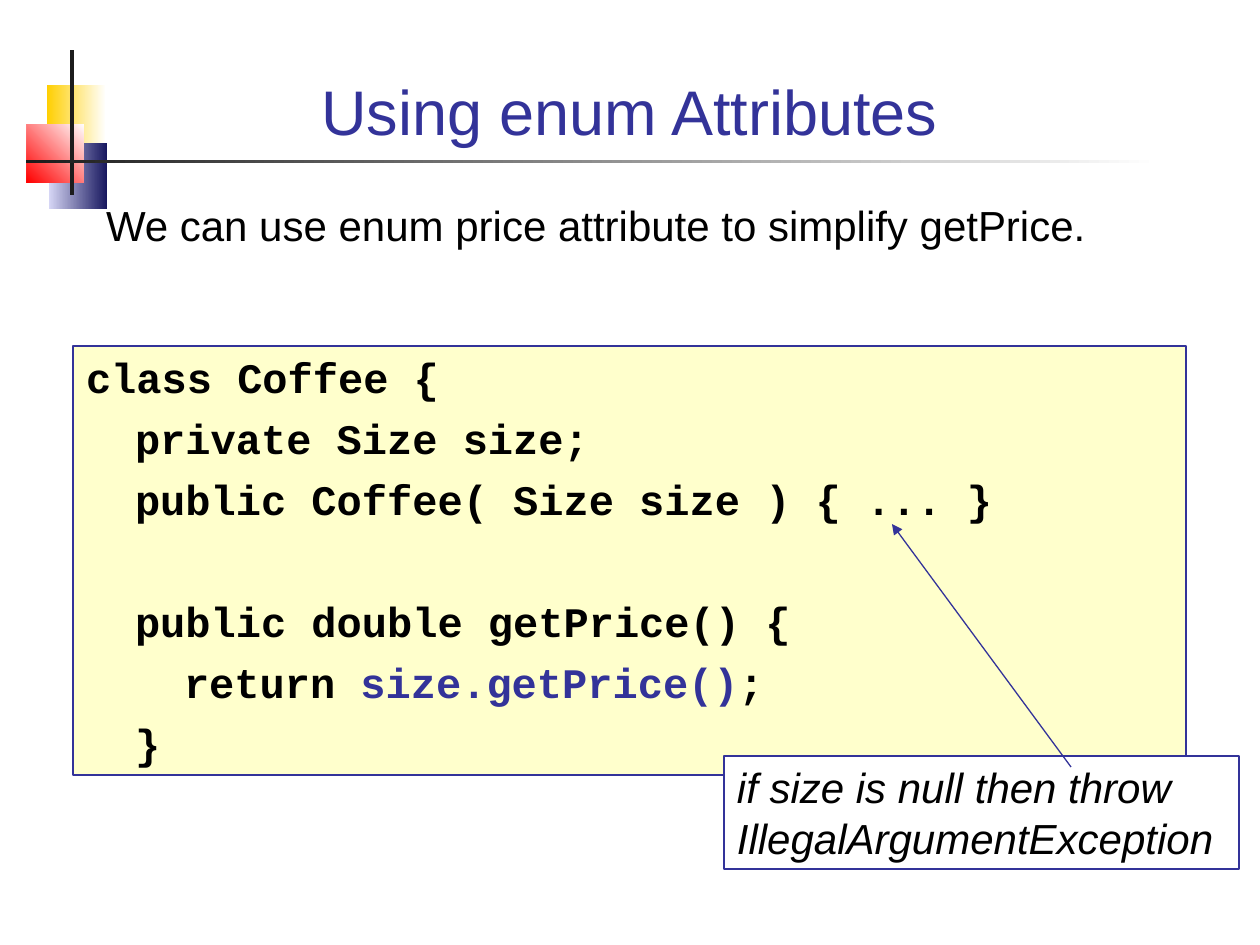
"""Build a slide on simplifying getPrice with enum attributes."""
from lxml import etree
from pptx import Presentation
from pptx.dml.color import RGBColor
from pptx.enum.shapes import MSO_CONNECTOR, MSO_SHAPE
from pptx.enum.text import MSO_ANCHOR, MSO_AUTO_SIZE, PP_ALIGN
from pptx.oxml.ns import qn
from pptx.util import Emu, Pt

RECTANGLE = MSO_SHAPE.RECTANGLE
STRAIGHT = MSO_CONNECTOR.STRAIGHT
TOP, BOTTOM = MSO_ANCHOR.TOP, MSO_ANCHOR.BOTTOM
LEFT, CENTER = PP_ALIGN.LEFT, PP_ALIGN.CENTER
FIXED_SIZE = MSO_AUTO_SIZE.NONE

PX_PER_INCH = 126
TAB_STEP, TAB_COUNT = 49, 8
BLUE, BLACK, WHITE, DARK = "333399", "000000", "FFFFFF", "1C1C1C"

ORNAMENTS = [
    ((47, 85, 59, 65), (WHITE, "FFCF01"), 180),
    ((49, 143, 58, 66), ("17175E", "D6D6F5"), 180),
    ((27, 124, 57, 59), (WHITE, "FF0000"), 225),
    ((70, 50, 4, 145), (DARK, DARK), 180),
    ((26, 160, 1133, 3), (WHITE, DARK), 180),
]

TITLE = {
    "area": (84, 34, 1091, 120),
    "lines": [[("Using enum Attributes", BLUE)]],
    "frame": {"vertical_anchor": BOTTOM},
    "para": {"alignment": CENTER},
    "font": {"name": "Arial", "size": Pt(36)},
}
BODY = {
    "area": (93, 193, 1091, 135),
    "lines": [[("We can use enum price attribute to simplify getPrice.", BLACK)]],
    "font": {"name": "Arial", "size": Pt(24)},
}
CODE = {
    "area": (73, 346, 1113, 429),
    "fill": "FFFFCC",
    "lines": [
        [("class Coffee {", BLACK)],
        [("\tprivate Size size;", BLACK)],
        [("\tpublic Coffee( Size size ) { ... }", BLACK)],
        [],
        [("\tpublic double getPrice() {", BLACK)],
        [("\t\treturn ", BLACK), ("size.getPrice()", BLUE), (";", BLACK)],
        [("\t}", BLACK)],
    ],
    "gap": 6,
    "font": {"name": "Courier New", "size": Pt(24), "bold": True},
}
CALLOUT = {
    "area": (724, 756, 515, 113),
    "fill": WHITE,
    "lines": [[("if size is null then throw IllegalArgumentException", BLACK)]],
    "font": {"name": "Arial", "size": Pt(24), "italic": True},
}
ARROW = (1071, 767, 892, 524)


def px(value):
    return Emu(round(value * 914400 / PX_PER_INCH))


def colour(value):
    return RGBColor.from_string(value)


def set_all(target, values):
    for name, value in values.items():
        setattr(target, name, value)


def add_tabs(para):
    properties = para._p.get_or_add_pPr()
    for name, value in {"marL": 0, "indent": 0, "defTabSz": px(TAB_STEP)}.items():
        properties.set(name, str(value))
    etree.SubElement(properties, qn("a:buNone"))
    tabs = etree.SubElement(properties, qn("a:tabLst"))
    for step in range(TAB_COUNT):
        etree.SubElement(tabs, qn("a:tab"), pos=str(px(step * TAB_STEP)), algn="l")


def write_text(box, content):
    frame = box.text_frame
    margins = {"margin_left": 13, "margin_right": 13, "margin_top": 6, "margin_bottom": 6}
    set_all(frame, {name: px(value) for name, value in margins.items()})
    layout = {"word_wrap": True, "auto_size": FIXED_SIZE, "vertical_anchor": TOP}
    set_all(frame, layout | content.get("frame", {}))
    for index, line in enumerate(content["lines"]):
        para = frame.paragraphs[0] if index == 0 else frame.add_paragraph()
        add_tabs(para)
        gap = content.get("gap", 0) if index else 0
        spacing = {"alignment": LEFT, "space_before": Pt(gap), "line_spacing": 1.0}
        set_all(para, spacing | content.get("para", {}))
        set_all(para.font, content["font"])
        for text, shade in line:
            span = para.add_run()
            span.text = text
            set_all(span.font, content["font"])
            span.font.color.rgb = colour(shade)
        if not line:
            end = etree.SubElement(para._p, qn("a:endParaRPr"))
            end.set("sz", str(int(content["font"]["size"].pt * 100)))
            etree.SubElement(end, qn("a:latin"), typeface=content["font"]["name"])


def add_rectangle(page, area):
    box = page.shapes.add_shape(RECTANGLE, *map(px, area))
    box.shadow.inherit = False
    return box


def add_ornament(page, area, shades, angle):
    box = add_rectangle(page, area)
    box.line.fill.background()
    box.fill.gradient()
    box.fill.gradient_angle = angle
    for position, (stop, shade) in enumerate(zip(box.fill.gradient_stops, shades)):
        stop.color.rgb = colour(shade)
        stop.position = position


def fill_placeholder(box, content):
    set_all(box, dict(zip(("left", "top", "width", "height"), map(px, content["area"]))))
    write_text(box, content)


def outline(item):
    item.line.color.rgb = colour(BLUE)
    item.line.width = Pt(0.75)


def add_panel(page, content):
    box = add_rectangle(page, content["area"])
    box.fill.solid()
    box.fill.fore_color.rgb = colour(content["fill"])
    outline(box)
    write_text(box, content)


def add_arrow(page, ends):
    arrow = page.shapes.add_connector(STRAIGHT, *map(px, ends))
    outline(arrow)
    etree.SubElement(arrow.line._get_or_add_ln(), qn("a:tailEnd"), type="triangle")
    etree.SubElement(arrow._element.spPr, qn("a:effectLst"))


def main():
    deck = Presentation()
    deck.slide_width, deck.slide_height = px(1260), px(945)
    page = deck.slides.add_slide(deck.slide_layouts[1])
    for ornament in ORNAMENTS:
        add_ornament(page, *ornament)
    fill_placeholder(page.shapes.title, TITLE)
    fill_placeholder(page.placeholders[1], BODY)
    for content in (CODE, CALLOUT):
        add_panel(page, content)
    add_arrow(page, ARROW)
    deck.save("out.pptx")


if __name__ == "__main__":
    main()
